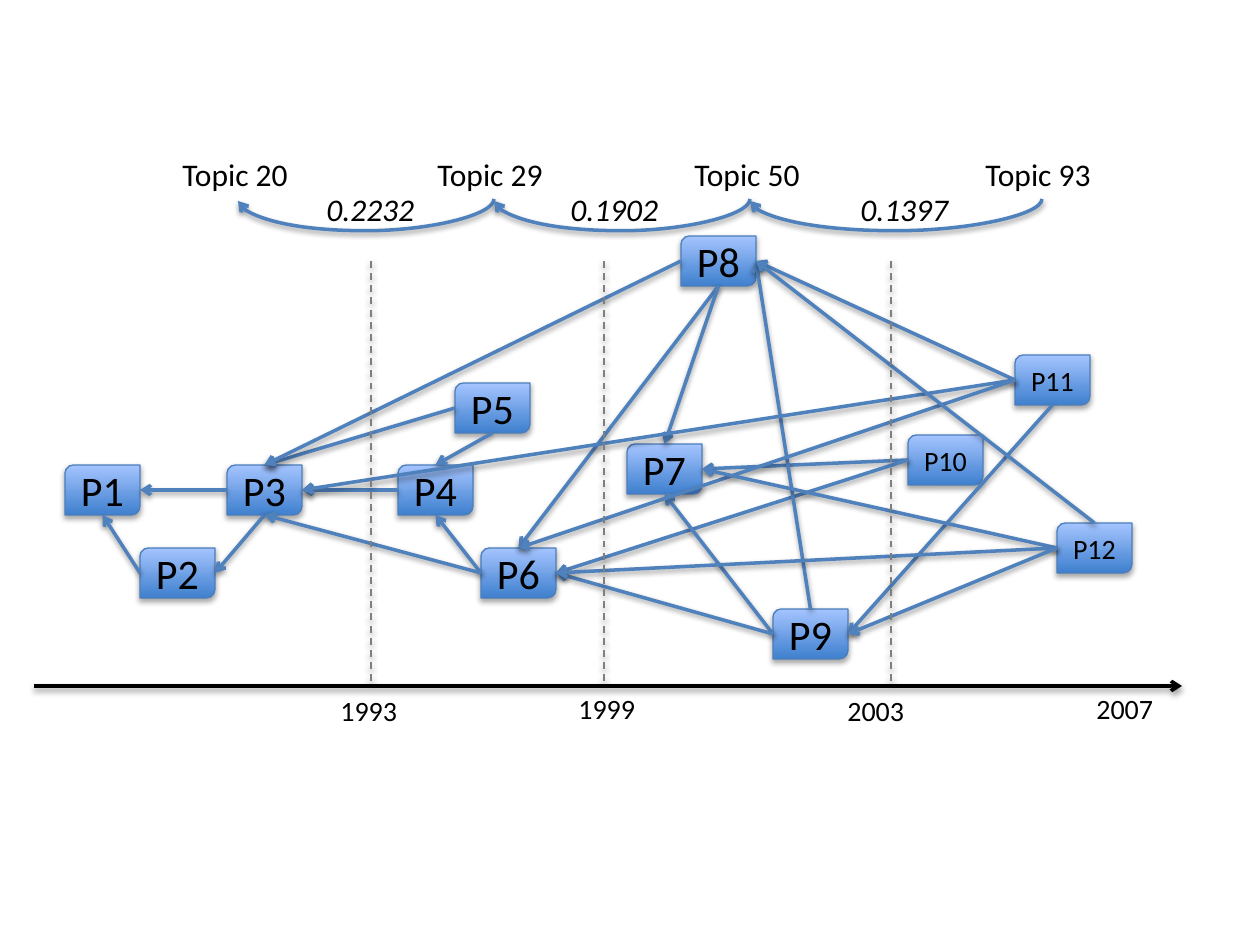
"""Timeline of papers P1 to P12 with citation arrows and topic links."""
from pptx import Presentation
from pptx.dml.color import RGBColor as RGB
from pptx.enum.dml import MSO_LINE as Dash
from pptx.enum.shapes import MSO_CONNECTOR as Conn, MSO_SHAPE as Shape
from pptx.enum.text import MSO_ANCHOR as Anchor, MSO_AUTO_SIZE as Fit, PP_ALIGN as Align
from pptx.oxml import parse_xml
from pptx.oxml.ns import nsdecls, qn
from pptx.util import Emu, Pt

THEME = dict(
    font="Calibri", ink="000000", link="4F81BD", grid="7F7F7F",
    edge="4B7EBC", grad=("3F80CE", "A4C4FF"),
    paper=24, small=16, topic=18, year=16,
    box_shadow=(35, 23000), line_shadow=(38, 20000),
)
SCALE = 914400 // 126
BOX_W, BOX_H = 75, 50
PAPERS = {
    "P8": (681, 236), "P7": (627, 444), "P9": (773, 609), "P10": (908, 435),
    "P11": (1015, 355), "P12": (1057, 523), "P5": (455, 383), "P6": (481, 548),
    "P1": (65, 465), "P3": (227, 465), "P2": (140, 548), "P4": (398, 465),
}
SIDES = {"left": (0, 0.5), "right": (1, 0.5), "top": (0.5, 0), "bottom": (0.5, 1)}
CITATIONS = [
    ("P3", "left", "P1", "right"), ("P3", "bottom", "P2", "right"),
    ("P2", "left", "P1", "bottom"), ("P4", "left", "P3", "right"),
    ("P5", "left", "P3", "top"), ("P5", "bottom", "P4", "top"),
    ("P6", "left", "P4", "bottom"), ("P6", "left", "P3", "bottom"),
    ("P8", "left", "P3", "top"), ("P8", "bottom", "P6", "top"),
    ("P8", "bottom", "P7", "top"), ("P10", "left", "P7", "right"),
    ("P10", "left", "P6", "right"), ("P9", "top", "P8", "right"),
    ("P9", "left", "P7", "bottom"), ("P9", "left", "P6", "right"),
    ("P11", "left", "P8", "right"), ("P11", "left", "P3", "right"),
    ("P11", "left", "P6", "top"), ("P11", "bottom", "P9", "right"),
    ("P12", "top", "P8", "right"), ("P12", "left", "P7", "right"),
    ("P12", "left", "P6", "right"), ("P12", "left", "P9", "right"),
]
TOPICS = [("Topic 20 ", 170), ("Topic 29 ", 425), ("Topic 50 ", 682), ("Topic 93", 973)]
WEIGHTS = [("0.2232", 314), ("0.1902", 558), ("0.1397", 848)]
YEARS = [("1993", 328, 687), ("1999", 566, 685), ("2003", 835, 687), ("2007", 1084, 685)]
TOPIC_ENDS = [238, 494, 750, 1042]
AXIS = (34, 1182, 686)
DIVIDERS, DIVIDER_TOP = (371, 604, 891), 261
CURVE_Y, CURVE_RISE, CURVE_DEPTH = 200, 2, 32


def px(*values):
    return [Emu(round(v * SCALE)) for v in values]


def add_shadow(s, strength):
    alpha, dist = strength
    s._element.spPr.append(parse_xml(
        f'<a:effectLst {nsdecls("a")}><a:outerShdw blurRad="40000" dist="{dist}" '
        f'dir="5400000" rotWithShape="0"><a:srgbClr val="{THEME["ink"]}">'
        f'<a:alpha val="{alpha * 1000}"/></a:srgbClr></a:outerShdw></a:effectLst>'))


def write(s, text, size, italic=False, align=None):
    p = s.text_frame.paragraphs[0]
    p.alignment = align
    r = p.add_run()
    r.text = text
    for name, value in dict(name=THEME["font"], size=Pt(size), italic=italic).items():
        setattr(r.font, name, value)
    r.font.color.rgb = RGB.from_string(THEME["ink"])


def add_label(text, x, y, w, h, size, italic=False):
    s = slide.shapes.add_textbox(*px(x, y, w, h))
    for name, value in dict(word_wrap=False, auto_size=Fit.SHAPE_TO_FIT_TEXT).items():
        setattr(s.text_frame, name, value)
    write(s, text, size, italic)


def add_paper(name, x, y):
    s = slide.shapes.add_shape(Shape.ROUND_2_DIAG_RECTANGLE, *px(x, y, BOX_W, BOX_H))
    s.fill.gradient()
    s.fill.gradient_angle = 90
    for stop, color in zip(s.fill.gradient_stops, THEME["grad"]):
        stop.color.rgb = RGB.from_string(color)
    s.line.color.rgb = RGB.from_string(THEME["edge"])
    s.line.width = Pt(0.75)
    add_shadow(s, THEME["box_shadow"])
    s.text_frame.vertical_anchor = Anchor.MIDDLE
    write(s, name, THEME["paper" if len(name) == 2 else "small"], align=Align.CENTER)


def add_line(start, end, color, width=2, arrow=True, dash=None, kind=Conn.STRAIGHT):
    c = slide.shapes.add_connector(kind, *px(*start, *end))
    c.line.color.rgb = RGB.from_string(color)
    c.line.width = Pt(width)
    if dash:
        c.line.dash_style = dash
    if arrow:
        c.line._get_or_add_ln().append(parse_xml(f'<a:tailEnd {nsdecls("a")} type="arrow"/>'))
    add_shadow(c, THEME["line_shadow"])
    return c


def add_curve(x_to, x_from):
    mid, half, rise = (x_to + x_from) / 2, (x_from - x_to) / 2, CURVE_RISE / 2
    c = add_line((mid - rise, CURVE_Y - half), (mid + rise, CURVE_Y + half),
                 THEME["link"], kind=Conn.CURVE)
    sp = c._element.spPr
    sp.find(qn("a:xfrm")).set("rot", "5400000")
    bend = CURVE_DEPTH * 100000 // CURVE_RISE
    sp.find(qn("a:prstGeom")).find(qn("a:avLst")).append(
        parse_xml(f'<a:gd {nsdecls("a")} name="adj1" fmla="val {bend}"/>'))


def anchor(name, side):
    (x, y), (fx, fy) = PAPERS[name], SIDES[side]
    return x + fx * BOX_W, y + fy * BOX_H


prs = Presentation()
prs.slide_width, prs.slide_height = px(1260, 945)
slide = prs.slides.add_slide(prs.slide_layouts[6])

for text, x in TOPICS:
    add_label(text, x, 149, 135, 50, THEME["topic"])
for name, (x, y) in PAPERS.items():
    add_paper(name, x, y)
axis_left, axis_right, axis_y = AXIS
add_line((axis_left, axis_y), (axis_right, axis_y), THEME["ink"])
for text, x, y in YEARS:
    add_label(text, x, y, 83, 47, THEME["year"])
for source, out_side, target, in_side in CITATIONS:
    add_line(anchor(source, out_side), anchor(target, in_side), THEME["link"])
for x in DIVIDERS:
    add_line((x, DIVIDER_TOP), (x, axis_y), THEME["grid"], 1, False, Dash.DASH)
for x_to, x_from in zip(TOPIC_ENDS, TOPIC_ENDS[1:]):
    add_curve(x_to, x_from)
for text, x in WEIGHTS:
    add_label(text, x, 184, 122, 50, THEME["topic"], italic=True)

prs.save("out.pptx")
